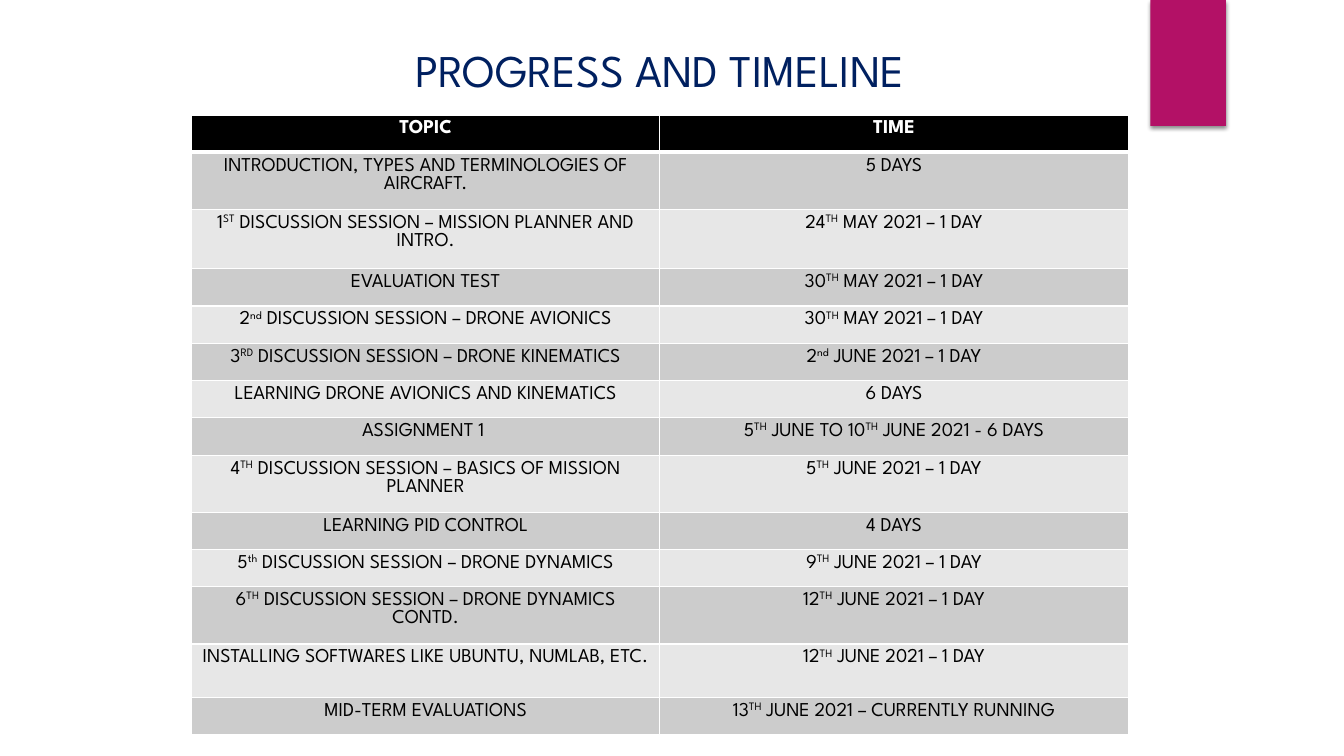
from dataclasses import dataclass

from lxml.etree import SubElement
from pptx import Presentation
from pptx.dml.color import RGBColor
from pptx.enum.shapes import MSO_SHAPE
from pptx.enum.text import MSO_ANCHOR, PP_ALIGN
from pptx.oxml.ns import qn
from pptx.util import Inches, Pt


@dataclass(frozen=True)
class Theme:
    font: str = "League Spartan"
    title: float = 32.4
    body: float = 14
    navy: str = "002060"
    pink: str = "B31166"
    black: str = "000000"
    white: str = "FFFFFF"
    bands: tuple = ("E7E7E7", "CCCCCC")


THEME = Theme()
LEFT, WIDTH = 1.9, 9.29
SHORT, TALL, EXTRA = 0.37, 0.53, 0.59

ROWS = [
    (SHORT, "TOPIC", "TIME"),
    (TALL, "INTRODUCTION, TYPES AND TERMINOLOGIES OF AIRCRAFT.", "5 DAYS"),
    (EXTRA, "1^ST^ DISCUSSION SESSION – MISSION PLANNER AND INTRO.", "24^TH^ MAY 2021 – 1 DAY"),
    (SHORT, "EVALUATION TEST", "30^TH^ MAY 2021 – 1 DAY"),
    (SHORT, "2^nd^ DISCUSSION SESSION – DRONE AVIONICS", "30^TH^ MAY 2021 – 1 DAY"),
    (SHORT, "3^RD^ DISCUSSION SESSION – DRONE KINEMATICS", "2^nd^ JUNE 2021 – 1 DAY"),
    (SHORT, "LEARNING DRONE AVIONICS AND KINEMATICS", "6 DAYS"),
    (SHORT, "ASSIGNMENT 1 ", "5^TH^ JUNE TO 10^TH^ JUNE 2021 - 6 DAYS"),
    (TALL, "4^TH^ DISCUSSION SESSION – BASICS OF MISSION PLANNER", "5^TH^ JUNE 2021 – 1 DAY"),
    (SHORT, "LEARNING PID CONTROL", "4 DAYS"),
    (SHORT, "5^th^ DISCUSSION SESSION – DRONE DYNAMICS", "9^TH^ JUNE 2021 – 1 DAY"),
    (TALL, "6^TH^ DISCUSSION SESSION – DRONE DYNAMICS CONTD.", "12^TH^ JUNE 2021 – 1 DAY"),
    (TALL, "INSTALLING SOFTWARES LIKE UBUNTU, NUMLAB, ETC.", "12^TH^ JUNE 2021 – 1 DAY"),
    (SHORT, "MID-TERM EVALUATIONS", "13^TH^ JUNE 2021 – CURRENTLY RUNNING"),
]


def write(frame, text, size, color, bold=False):
    para = frame.paragraphs[0]
    para.alignment = PP_ALIGN.CENTER
    for i, part in enumerate(text.split("^")):
        run = para.add_run()
        run.text = part
        if i % 2:
            run._r.get_or_add_rPr().set("baseline", "30000")
    font = para.font
    font.name = THEME.font
    font.size = Pt(size)
    font.bold = bold
    font.color.rgb = RGBColor.from_string(color)


def add_title(slide, text):
    box = slide.shapes.add_textbox(Inches(LEFT), Inches(0.38), Inches(WIDTH), Inches(0.62))
    frame = box.text_frame
    frame.word_wrap = True
    frame.vertical_anchor = MSO_ANCHOR.MIDDLE
    write(frame, text, THEME.title, THEME.navy)


def add_tab(slide):
    tab = slide.shapes.add_shape(
        MSO_SHAPE.RECTANGLE, Inches(11.41), Inches(0), Inches(0.75), Inches(1.25))
    tab.fill.solid()
    tab.fill.fore_color.rgb = RGBColor.from_string(THEME.pink)
    tab.line.fill.background()
    tab.shadow.inherit = False
    effects = tab._element.spPr.find(qn("a:effectLst"))
    shade = SubElement(effects, qn("a:outerShdw"), blurRad=str(Pt(3)),
                       dist=str(Pt(2)), dir="5400000", rotWithShape="0")
    color = SubElement(shade, qn("a:srgbClr"), val=THEME.black)
    SubElement(color, qn("a:alpha"), val="45000")


def add_edges(cell, top, bottom):
    props = cell._tc.get_or_add_tcPr()
    for side, width in (("L", 1), ("R", 1), ("T", top), ("B", bottom)):
        line = SubElement(props, qn(f"a:ln{side}"), w=str(Pt(width)))
        fill = SubElement(line, qn("a:solidFill"))
        SubElement(fill, qn("a:srgbClr"), val=THEME.white)


def add_plan(slide, rows):
    height = sum(row[0] for row in rows)
    table = slide.shapes.add_table(
        len(rows), 2, Inches(LEFT), Inches(1.14), Inches(WIDTH), Inches(height)).table
    for r, (tall, *texts) in enumerate(rows):
        table.rows[r].height = Inches(tall)
        head = r == 0
        for c, text in enumerate(texts):
            cell = table.cell(r, c)
            add_edges(cell, 3 if r == 1 else 1, 3 if head else 1)
            cell.fill.solid()
            back = THEME.black if head else THEME.bands[r % 2]
            cell.fill.fore_color.rgb = RGBColor.from_string(back)
            ink = THEME.white if head else THEME.black
            write(cell.text_frame, text, THEME.body, ink, head)


def main():
    deck = Presentation()
    deck.slide_width = Inches(13.33)
    deck.slide_height = Inches(7.5)
    slide = deck.slides.add_slide(deck.slide_layouts[6])
    add_tab(slide)
    add_title(slide, "PROGRESS AND TIMELINE")
    add_plan(slide, ROWS)
    deck.save("out.pptx")


if __name__ == "__main__":
    main()
